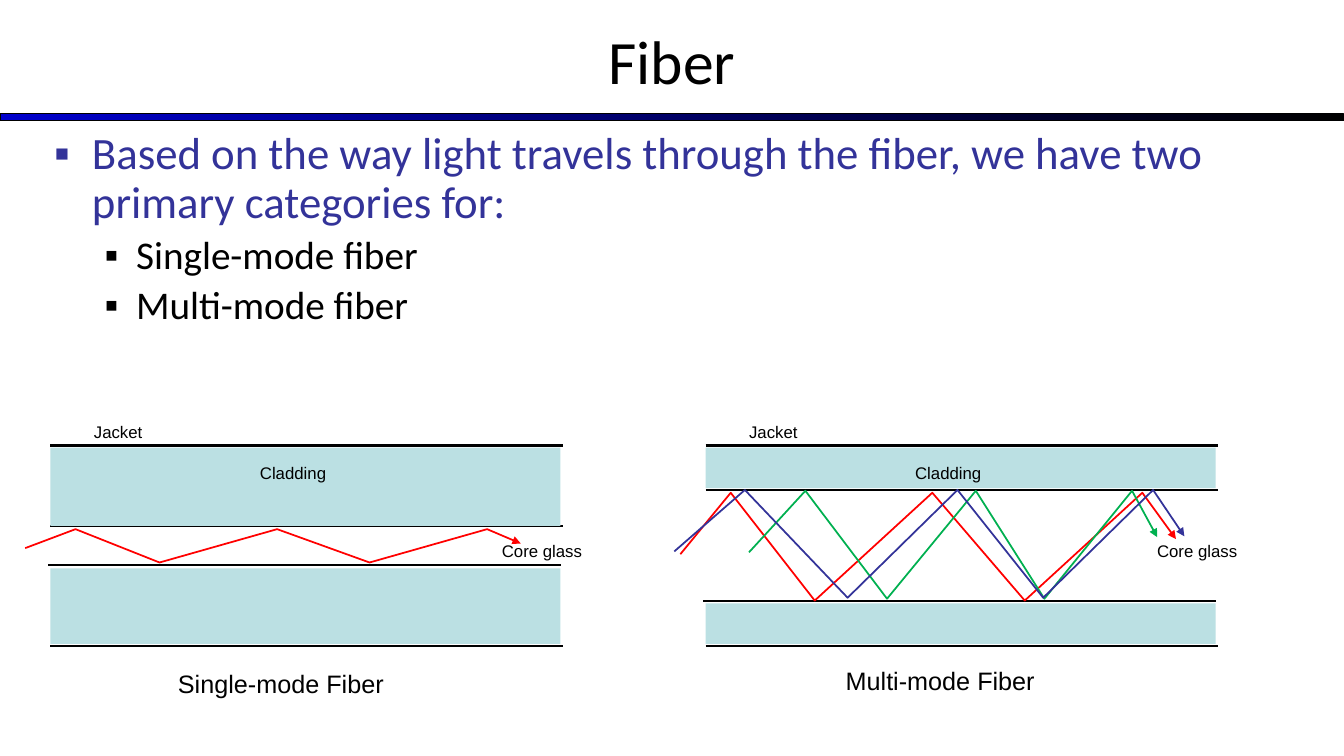
from pptx import Presentation
from pptx.dml.color import RGBColor
from pptx.enum.shapes import MSO_CONNECTOR, MSO_SHAPE
from pptx.enum.text import MSO_ANCHOR, MSO_AUTO_SIZE, PP_ALIGN
from pptx.oxml.ns import qn
from pptx.util import Pt
from lxml.etree import SubElement

BLACK, RED, GREEN, BLUE, CLADDING = "000000", "FF0000", "00B050", "333399", "BBE0E3"
RED_XS = (-18, 18, 78, 162, 228, 312, 336)
GREEN_XS = (31, 71.3, 129.6, 193, 242, 304.6, 322.6)
BLUE_XS = (-22.3, 28.1, 101.5, 180, 241.2, 319.7, 342)


def rgb(color):
    """Turn a hex string into a colour."""
    return RGBColor.from_string(color)


def set_attrs(obj, **fmt):
    """Set each format value on the object."""
    for name, value in fmt.items():
        setattr(obj, name, value)


def write(p, text, size, color=BLACK, font="Calibri"):
    """Add one formatted run to a paragraph."""
    r = p.add_run()
    r.text = text
    set_attrs(r.font, size=Pt(size), name=font)
    r.font.color.rgb = rgb(color)


def place(sp, x, y, w, h):
    """Move and size a placeholder."""
    set_attrs(sp, left=Pt(x), top=Pt(y), width=Pt(w), height=Pt(h))


def add_label(s, x, y, w, text, size=12):
    """Add a diagram caption."""
    tf = s.shapes.add_textbox(Pt(x), Pt(y), Pt(w), Pt(size * 1.8)).text_frame
    tf.word_wrap = True
    write(tf.paragraphs[0], text, size, font="Arial")


def add_wall(s, x, y, w):
    """Add a horizontal line of the fiber wall."""
    sp = s.shapes.add_connector(MSO_CONNECTOR.STRAIGHT, Pt(x), Pt(y), Pt(x + w), Pt(y))
    sp.line.width = Pt(1.5)
    sp.line.color.rgb = rgb(BLACK)
    SubElement(sp._element.spPr, qn("a:effectLst"))


def add_rect(s, x, y, w, h):
    """Add a rectangle without shadow."""
    sp = s.shapes.add_shape(MSO_SHAPE.RECTANGLE, Pt(x), Pt(y), Pt(w), Pt(h))
    sp.shadow.inherit = False
    return sp


def add_cladding(s, x, y, w, h):
    """Add a plain cladding band."""
    sp = add_rect(s, x, y, w, h)
    sp.fill.solid()
    sp.fill.fore_color.rgb = rgb(CLADDING)
    sp.line.fill.background()


def add_ray(s, x, xs, top, bottom, color):
    """Add a light ray that bounces between top and bottom."""
    depth = bottom - top
    ys = [top + 0.57 * depth, *(top, bottom) * 2, top, top + 0.43 * depth]
    pts = [(Pt(x + dx), Pt(y)) for dx, y in zip(xs, ys)]
    fb = s.shapes.build_freeform(*pts[0], scale=1.0)
    fb.add_line_segments(pts[1:], close=False)
    sp = fb.convert_to_shape()
    sp.shadow.inherit = False
    sp.fill.background()
    sp.line.width = Pt(1.25)
    sp.line.color.rgb = rgb(color)
    SubElement(sp.line._get_or_add_ln(), qn("a:tailEnd"), type="triangle")


def add_fiber(s, x, core, bands, rays, caption):
    """Draw one fiber section with its walls, cladding, rays and labels."""
    for dx, y in ((0, 318.2), (0, core[0]), (-1.6, core[1]), (0, 461.5)):
        add_wall(s, x + dx, y, 366)
    add_cladding(s, x, 319.7, 364.3, bands[0])
    add_cladding(s, x, 460 - bands[1], 364.3, bands[1])
    for xs, top, bottom, color in rays:
        add_ray(s, x, xs, top, bottom, color)
    for dx, y, w, text in ((24, 298, 138, "Jacket"), (142.6, 327, 138, "Cladding"),
                           (315.4, 383, 72, "Core glass")):
        add_label(s, x + dx, y, w, text)
    dx, y, text = caption
    add_label(s, x + dx, y, 204, text, 18)


def add_header(s, x, y, w, h):
    """Fill the title and add the gradient rule under it."""
    place(s.shapes.title, x, y, w, h)
    tf = s.shapes.title.text_frame
    set_attrs(tf, vertical_anchor=MSO_ANCHOR.MIDDLE, auto_size=MSO_AUTO_SIZE.NONE)
    tf.paragraphs[0].alignment = PP_ALIGN.CENTER
    write(tf.paragraphs[0], "Fiber", 44)
    bar = add_rect(s, x, 81.2, w, 5)
    bar.fill.gradient()
    bar.fill.gradient_angle = 0
    for stop, color in zip(bar.fill.gradient_stops, ("0000CC", BLACK)):
        stop.color.rgb = rgb(color)
    bar.line.width = Pt(0.75)
    bar.line.color.rgb = rgb(BLACK)


def add_body(s, x, y, w, h):
    """Fill the bulleted list."""
    sp = s.placeholders[1]
    place(sp, x, y, w, h)
    tf = sp.text_frame
    tf.auto_size = MSO_AUTO_SIZE.NONE
    items = (
        (0, "Based on the way light travels through the fiber, we have two primary categories for:", BLUE),
        (1, "Single-mode fiber", BLACK),
        (1, "Multi-mode fiber", BLACK),
    )
    for i, (level, text, color) in enumerate(items):
        p = tf.add_paragraph() if i else tf.paragraphs[0]
        set_attrs(p, level=level, line_spacing=0.9)
        pPr = p._p.get_or_add_pPr()
        pPr.set("marL", str(Pt((27, 58.5)[level])))
        pPr.set("indent", str(-Pt((27, 22.5)[level])))
        SubElement(SubElement(pPr, qn("a:buClr")), qn("a:srgbClr"), val=color)
        SubElement(pPr, qn("a:buFont"), typeface="Arial")
        SubElement(pPr, qn("a:buChar"), char="▪")
        write(p, text, (32, 28)[level], color)


def main():
    """Build and save the slide."""
    prs = Presentation()
    set_attrs(prs, slide_width=Pt(960), slide_height=Pt(540))
    s = prs.slides.add_slide(prs.slide_layouts[1])
    add_header(s, 0, -2, 960, 90)
    add_body(s, 31.5, 90, 892, 401.5)
    add_fiber(s, 36, (375.8, 403.8), (56, 54),
              [(RED_XS, 378, 401.8, RED)], (84, 473.8, "Single-mode Fiber"))
    add_fiber(s, 504, (350, 429.2), (29, 29),
              [(RED_XS, 352, 429, RED), (GREEN_XS, 350.6, 427.7, GREEN),
               (BLUE_XS, 350, 427, BLUE)], (93, 471.6, "Multi-mode Fiber"))
    prs.save("out.pptx")


if __name__ == "__main__":
    main()
